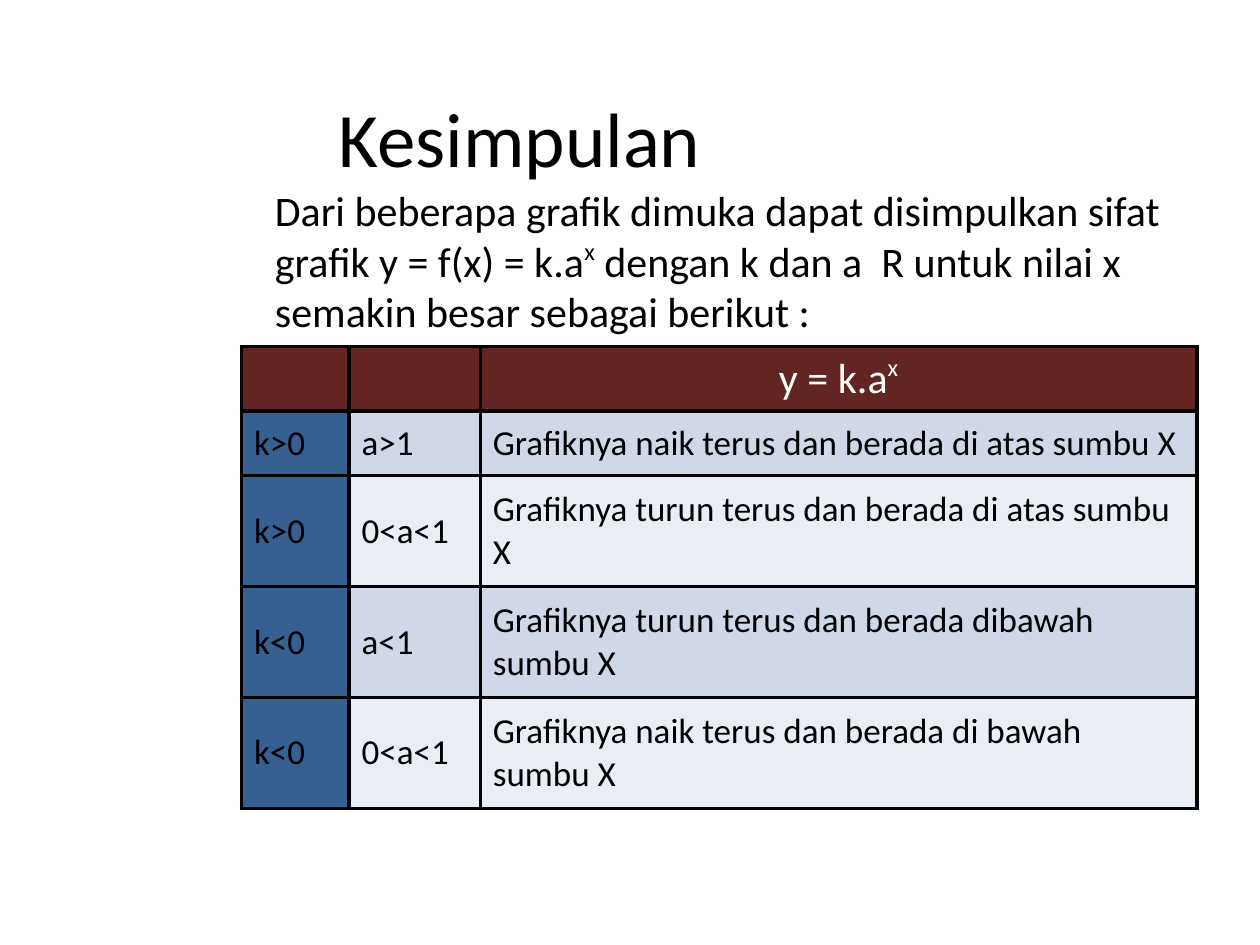
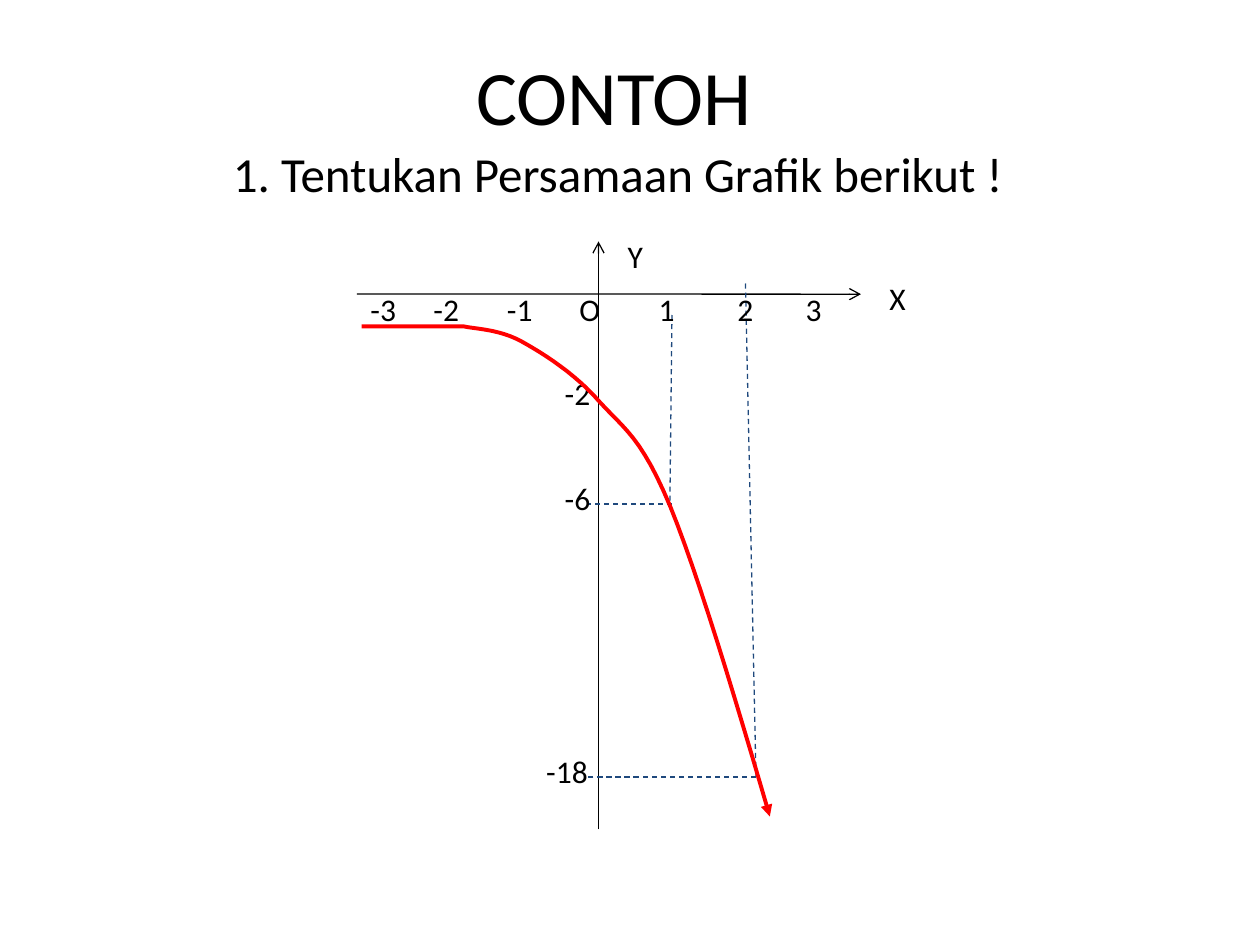
from lxml.etree import SubElement
from pptx import Presentation
from pptx.dml.color import RGBColor
from pptx.enum.dml import MSO_LINE
from pptx.enum.shapes import MSO_CONNECTOR
from pptx.enum.text import MSO_ANCHOR, PP_ALIGN
from pptx.oxml.ns import qn
from pptx.util import Inches, Pt

FONT = "Calibri"
BLACK, WHITE, RED, NAVY = "000000", "FFFFFF", "FF0000", "1F497D"
HEADER, SIDE, BANDS = "632523", "376092", ("D0D8E8", "E9EDF4")
TITLE, BODY, PROMPT, CELL, LABEL = 44, 24, 28, 20, 18
CENTER, LEFT = PP_ALIGN.CENTER, PP_ALIGN.LEFT

prs = Presentation()
prs.slide_width, prs.slide_height = Inches(10), Inches(7.5)
UNIT = prs.slide_width / 120  # grid of 120 columns by 90 rows


def grid(*cells):
    """Turn grid cells into slide lengths."""
    return [round(n * UNIT) for n in cells]


def write(tf, runs, size, color=BLACK, align=LEFT, wrap=True):
    """Fill a text frame with runs; a run starting with ^ is superscript."""
    tf.word_wrap = wrap
    p = tf.paragraphs[0]
    p.alignment = align
    for text in runs:
        r = p.add_run()
        r.text = text.lstrip("^")
        r.font.name, r.font.size, r.font.bold = FONT, Pt(size), False
        r.font.color.rgb = RGBColor.from_string(color)
        if text.startswith("^"):
            r.font._element.set("baseline", "40000")


# Titles and lead text of both slides
pages = [
    ("Kesimpulan", (24, 8, 51, 9), (25, 17, 88, 20.6), BODY,
     ["Dari beberapa grafik dimuka dapat disimpulkan sifat grafik "
      "y = f(x) = k.a", "^x",
      " dengan k dan a  R untuk nilai x semakin besar sebagai berikut :"]),
    ("CONTOH", (40, 4, 37, 7), (21, 13.1, 88, 6.9), PROMPT,
     ["1. Tentukan Persamaan Grafik berikut !"]),
]
slides = []
for title, title_box, lead_box, lead_size, lead in pages:
    s = prs.slides.add_slide(prs.slide_layouts[6])
    write(s.shapes.add_textbox(*grid(*title_box)).text_frame,
          [title], TITLE, align=CENTER)
    write(s.shapes.add_textbox(*grid(*lead_box)).text_frame, lead, lead_size)
    slides.append(s)
summary, example = slides

# Summary table
rows = [
    ([], [], ["y = k.a", "^x"]),
    (["k>0"], ["a>1"], ["Grafiknya naik terus dan berada di atas sumbu X"]),
    (["k>0"], ["0<a<1"], ["Grafiknya turun terus dan berada di atas sumbu X"]),
    (["k<0"], ["a<1"], ["Grafiknya turun terus dan berada dibawah sumbu X"]),
    (["k<0"], ["0<a<1"], ["Grafiknya naik terus dan berada di bawah sumbu X"]),
]
table = summary.shapes.add_table(5, 3, *grid(23, 33, 91, 44)).table
table.first_row = table.horz_banding = False
for column, width in zip(table.columns, grid(10.25, 12.5, 68.25)):
    column.width = width
for row, height in zip(table.rows, grid(6.15, 6.15, 10.57, 10.57, 10.57)):
    row.height = height
for i, row in enumerate(rows):
    for j, runs in enumerate(row):
        cell = table.cell(i, j)
        cell.vertical_anchor = MSO_ANCHOR.MIDDLE
        if i == 0:
            fill, style = HEADER, (BODY, WHITE, CENTER)
        else:
            fill = BANDS[(i - 1) % 2] if j else SIDE
            style = (CELL, BLACK, LEFT)
        write(cell.text_frame, runs, *style)
        tcPr = cell._tc.get_or_add_tcPr()
        for side in ("lnL", "lnR", "lnT", "lnB"):
            ln = SubElement(tcPr, qn(f"a:{side}"), w=str(Pt(2.25)))
            SubElement(SubElement(ln, qn("a:solidFill")),
                       qn("a:srgbClr"), val=BLACK)
        cell.fill.solid()
        cell.fill.fore_color.rgb = RGBColor.from_string(fill)

# Axes, then dashed guides to the points (1, -6) and (2, -18)
lines = [
    ((34, 28, 82, 28.02), BLACK), ((57, 79, 57, 23), BLACK),
    ((64, 30, 63.8, 48), NAVY), ((71, 27, 72, 74), NAVY),
    ((72, 74, 56, 74), NAVY), ((64, 48, 56, 48), NAVY),
]
for ends, color in lines:
    sp = example.shapes.add_connector(MSO_CONNECTOR.STRAIGHT, *grid(*ends))
    sp.line.color.rgb = RGBColor.from_string(color)
    sp.line.width = Pt(0.75)
    if color == BLACK:
        SubElement(sp.line._get_or_add_ln(), qn("a:tailEnd"), type="arrow")
    else:
        sp.line.dash_style = MSO_LINE.DASH
    SubElement(sp._element.spPr, qn("a:effectLst"))

# Axis labels: text, left, top, width
labels = [
    ("-3", 34, 27, 5), ("-2", 40, 27, 5), ("-1", 47, 27, 5), ("O", 54, 27, 4),
    ("1", 61, 27, 5), ("2", 68, 27, 6), ("3", 75, 27, 5),
    ("Y", 58, 22, 5), ("X", 83, 26, 5),
    ("-2", 52, 35, 6), ("-6", 52, 45, 6), ("-18", 50, 71, 8),
]
for text, left, top, width in labels:
    sp = example.shapes.add_textbox(*grid(left, top, width, 4.8))
    write(sp.text_frame, [text], LABEL, align=CENTER, wrap=False)

# Curve: a flat start, then Bezier segments, in inches
start, bend = (2.87, 2.59), (3.68, 2.59)
segments = [
    ((3.76, 2.61), (3.96, 2.61), (4.14, 2.71)),
    ((4.32, 2.81), (4.57, 2.97), (4.76, 3.19)),
    ((4.96, 3.41), (5.09, 3.47), (5.32, 4.02)),
    ((5.54, 4.56), (5.83, 5.52), (6.11, 6.48)),
]
STEPS = 12
points = [start, bend]
for b, c, d in segments:
    a = points[-1]
    for t in (n / STEPS for n in range(1, STEPS + 1)):
        u = 1 - t
        points.append(tuple(
            u**3 * a[k] + 3 * u * u * t * b[k] + 3 * u * t * t * c[k] + t**3 * d[k]
            for k in (0, 1)))
# The builder rounds to whole units, so it gets full-precision lengths
points = [(Inches(x), Inches(y)) for x, y in points]
builder = example.shapes.build_freeform(*points[0])
builder.add_line_segments(points[1:], close=False)
sp = builder.convert_to_shape()
sp.shadow.inherit = False
sp.fill.background()
sp.line.color.rgb = RGBColor.from_string(RED)
sp.line.width = Pt(2.25)
SubElement(sp.line._get_or_add_ln(), qn("a:tailEnd"), type="triangle")

prs.save("out.pptx")
